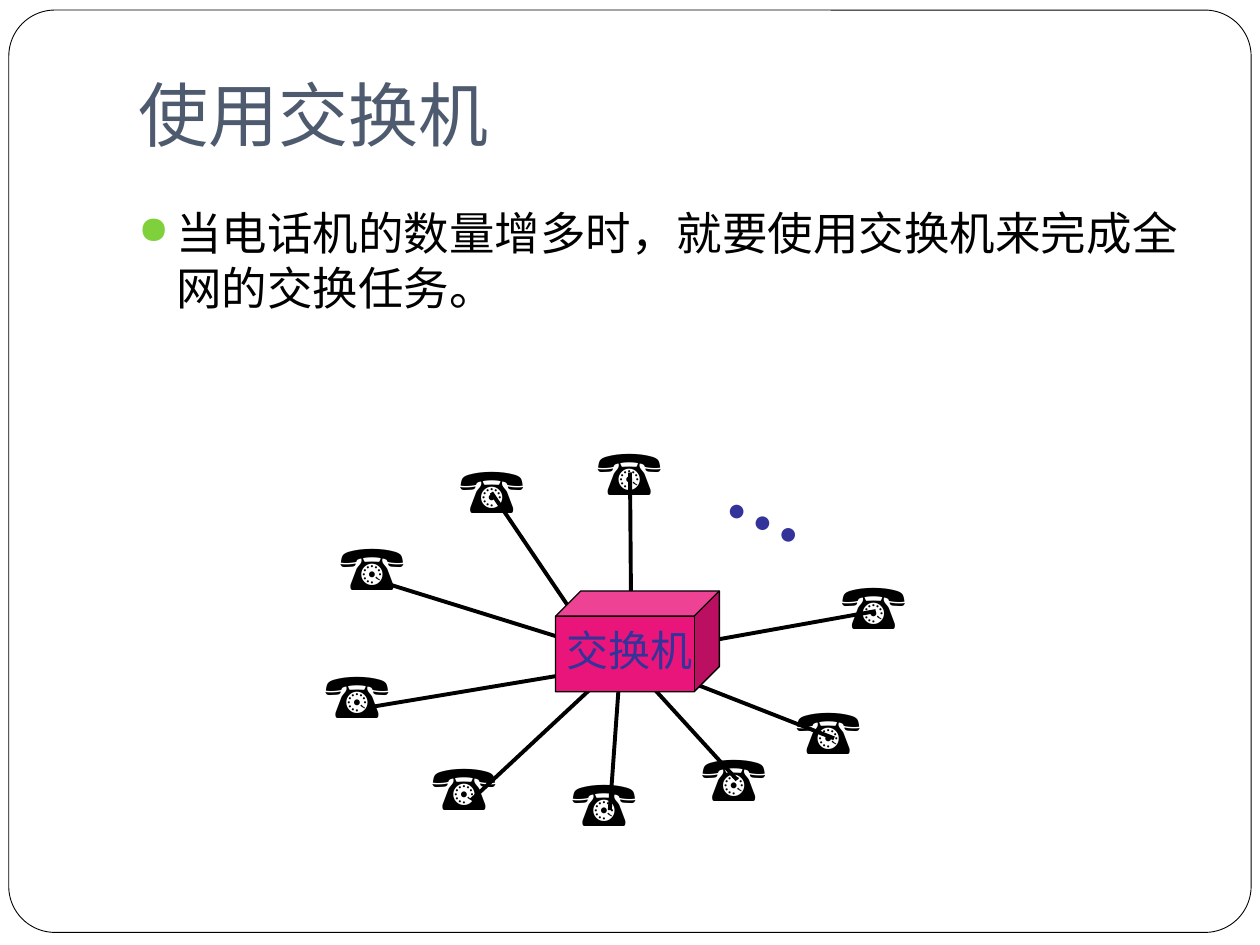
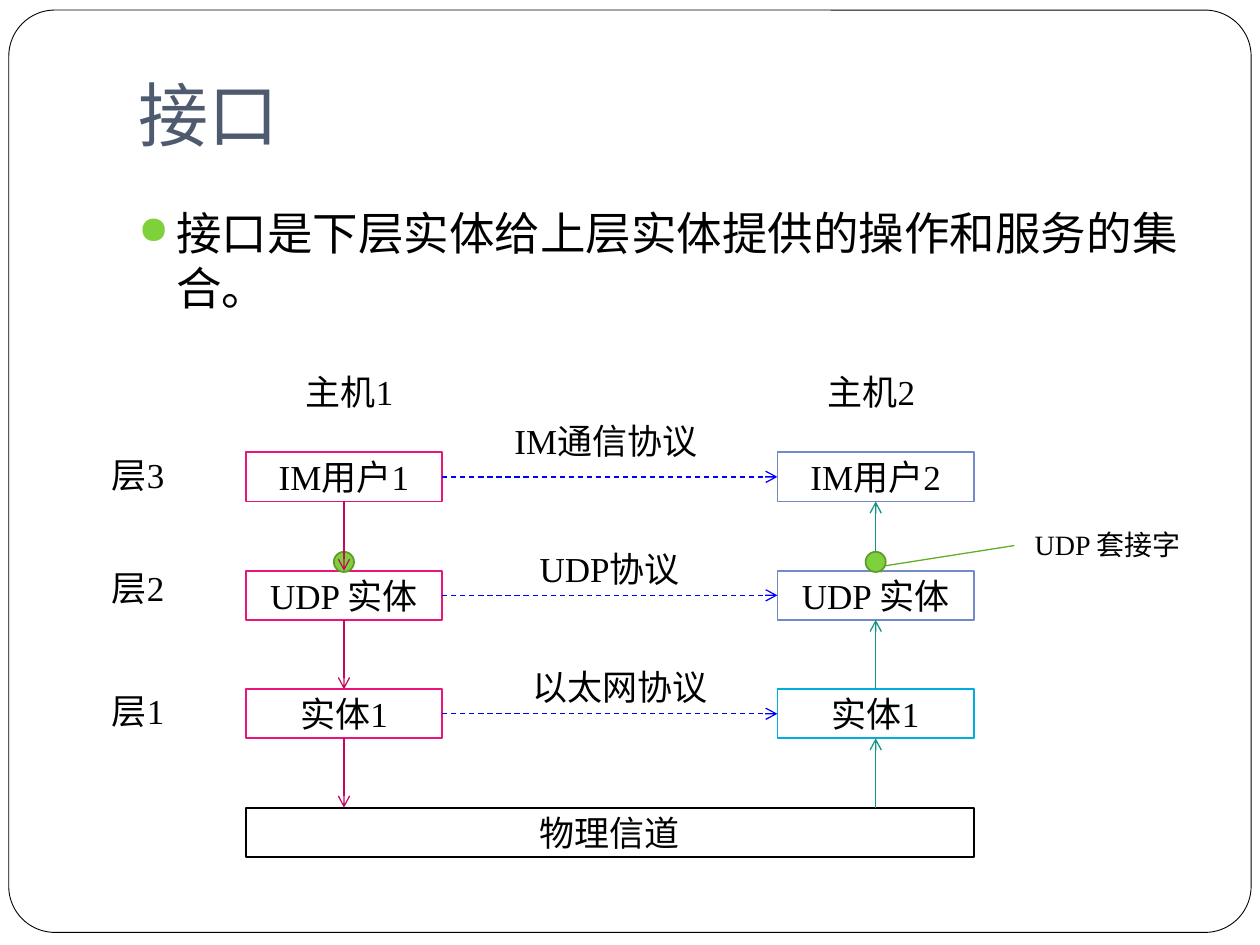
from pptx import Presentation
from pptx.dml.color import RGBColor
from pptx.enum.dml import MSO_LINE
from pptx.enum.shapes import MSO_CONNECTOR, MSO_SHAPE
from pptx.enum.text import MSO_ANCHOR, MSO_AUTO_SIZE, PP_ALIGN
from pptx.oxml.ns import qn
from pptx.util import Inches, Pt
from lxml import etree

BLACK = RGBColor(0x00, 0x00, 0x00)
WHITE = RGBColor(0xFF, 0xFF, 0xFF)
SLATE = RGBColor(0x4E, 0x5B, 0x6F)
GREEN = RGBColor(0x7F, 0xD1, 0x3B)
DARK_GREEN = RGBColor(0x5E, 0x9B, 0x2C)
CALLOUT_GREEN = RGBColor(0x65, 0xAD, 0x29)
PINK = RGBColor(0xEA, 0x15, 0x7A)
DARK_PINK = RGBColor(0xC4, 0x08, 0x61)
INDIGO = RGBColor(0x33, 0x33, 0x99)
PERIWINKLE = RGBColor(0x73, 0x8A, 0xC8)
CYAN = RGBColor(0x00, 0xAD, 0xDC)
TEAL = RGBColor(0x0F, 0x95, 0x84)
BLUE = RGBColor(0x00, 0x00, 0xFF)

RECT, OVAL = MSO_SHAPE.RECTANGLE, MSO_SHAPE.OVAL
ROUNDED, CUBE = MSO_SHAPE.ROUNDED_RECTANGLE, MSO_SHAPE.CUBE
STRAIGHT, DASH = MSO_CONNECTOR.STRAIGHT, MSO_LINE.DASH
CENTER, MIDDLE = PP_ALIGN.CENTER, MSO_ANCHOR.MIDDLE
GROW = MSO_AUTO_SIZE.SHAPE_TO_FIT_TEXT
TOP, LEFT, BOTTOM, RIGHT = range(4)

TITLE = {"name": "Lato", "size": Pt(40)}
BODY = {"name": "Times New Roman", "size": Pt(26)}
LABEL = {"name": "Times New Roman", "size": Pt(20)}
SMALL = {"name": "Times New Roman", "size": Pt(16)}
PHONE = {"name": "Times New Roman", "size": Pt(36)}
DOTS = {"name": "Times New Roman", "size": Pt(48), "bold": True}
HUB = {"name": "Times New Roman", "size": Pt(24)}


def add_item(s, at, text="", font=LABEL, color=BLACK, shape=None, fill=WHITE,
             line=BLACK, width=1, frame=None, align=None):
    """Add a text box, or a preset shape when one is given."""
    box = [Inches(v) for v in at]
    if shape is None:
        sp = s.shapes.add_textbox(*box)
    else:
        sp = s.shapes.add_shape(shape, *box)
        sp.shadow.inherit = False
        sp.fill.solid()
        sp.fill.fore_color.rgb = fill
        sp.line.color.rgb = line
        sp.line.width = Pt(width)
    if text:
        tf = sp.text_frame
        for key, value in {"word_wrap": True, **(frame or {})}.items():
            setattr(tf, key, value)
        p = tf.paragraphs[0]
        p.alignment = align
        r = p.add_run()
        r.text = text
        for key, value in font.items():
            setattr(r.font, key, value)
        r.font.color.rgb = color
    return sp


def add_line(s, start, end, color=BLACK, width=0.75, arrow=True, dash=None):
    """Draw a straight line; an end is a point or a (shape, side) pair."""
    points = [(0, 0) if hasattr(e[0], "shape_id") else e for e in (start, end)]
    cn = s.shapes.add_connector(STRAIGHT, *[Inches(v) for pt in points for v in pt])
    for e, connect in ((start, cn.begin_connect), (end, cn.end_connect)):
        if hasattr(e[0], "shape_id"):
            connect(*e)
    cn.line.color.rgb = color
    cn.line.width = Pt(width)
    if dash:
        cn.line.dash_style = dash
    if arrow:
        etree.SubElement(cn.line._get_or_add_ln(), qn("a:tailEnd"), type="arrow")
    etree.SubElement(cn._element.spPr, qn("a:effectLst"))


prs = Presentation()
prs.slide_width, prs.slide_height = Inches(10), Inches(7.5)

# Shared frame, title and bullet
PAGES = [
    ("使用交换机", "当电话机的数量增多时，就要使用交换机来完成全网的交换任务。"),
    ("接口", "接口是下层实体给上层实体提供的操作和服务的集合。"),
]
for title, bullet in PAGES:
    s = prs.slides.add_slide(prs.slide_layouts[6])
    sp = add_item(s, (0.07, 0.08, 9.86, 7.32), shape=ROUNDED, width=0.5)
    sp.adjustments[0] = 0.05
    add_item(s, (1, 0.3, 8.5, 1.25), title, TITLE, SLATE,
             frame={"vertical_anchor": MIDDLE, "margin_bottom": Inches(0.1)})
    sp = add_item(s, (1, 1.58, 8.5, 5), bullet, BODY)
    p = sp.text_frame.paragraphs[0]
    p.space_before = Pt(5.8)
    pPr = p._p.get_or_add_pPr()
    pPr.set("marL", str(Inches(0.3)))
    pPr.set("indent", str(Inches(-0.3)))
    clr = etree.SubElement(pPr, qn("a:buClr"))
    etree.SubElement(clr, qn("a:srgbClr"), val=str(GREEN))
    etree.SubElement(pPr, qn("a:buSzPct"), val="85000")
    etree.SubElement(pPr, qn("a:buChar"), char="●")

switch_slide, interface_slide = prs.slides

# Slide 1: telephones around the switch
s = switch_slide
no_wrap = {"word_wrap": False, "auto_size": GROW}
sp = add_item(s, (5.71, 3.51, 0.87, 0.9), "…", DOTS, INDIGO, frame=no_wrap)
sp.rotation = 24.3

# Telephone corner, then the two ends of its line
PHONES = [
    ((4.64, 3.38), (5, 3.75), (5.01, 5.01)),
    ((6.58, 4.45), (6.95, 4.85), (5.39, 5.13)),
    ((6.22, 5.44), (6.62, 5.86), (5.24, 5.32)),
    ((5.47, 5.81), (5.85, 6.19), (4.92, 5.17)),
    ((4.44, 6.01), (4.84, 6.43), (4.92, 5.32)),
    ((3.33, 5.88), (3.74, 6.35), (4.76, 5.4)),
    ((2.48, 5.15), (2.95, 5.61), (4.69, 5.32)),
    ((2.6, 4.14), (3.03, 4.62), (4.64, 5.12)),
    ((3.55, 3.53), (3.9, 3.91), (4.57, 4.9)),
]
for corner, start, end in PHONES:
    add_line(s, start, end, width=2.25, arrow=False)
    add_item(s, (*corner, 0.87, 0.7), "☎", PHONE, frame=no_wrap)

sp = add_item(s, (4.41, 4.69, 1.3, 0.8), shape=CUBE, fill=PINK, width=0.75)
sp.adjustments[0] = 0.25
add_item(s, (4.4, 4.91, 1.2, 0.5), "交换机", HUB, INDIGO, frame=no_wrap)

# Slide 2: two hosts with three layers each
s = interface_slide
X1, X2, BOX_W, BOX_H = 1.95, 6.17, 1.56, 0.39
ROW_TOP, ROW_STEP = 3.59, 0.94
MID1, MID2 = X1 + BOX_W / 2, X2 + BOX_W / 2
CHANNEL_TOP = ROW_TOP + 3 * ROW_STEP
in_box = {"vertical_anchor": MIDDLE, "margin_top": 0, "margin_bottom": 0}
grow = {"auto_size": GROW}

# Each layer: both entities, colour on host 2, protocol label and layer label
LAYERS = [
    ("IM用户1", "IM用户2", PERIWINKLE, "IM通信协议", (3.91, 3.28, 1.8), "层3", 3.55),
    ("UDP 实体", "UDP 实体", PERIWINKLE, "UDP协议", (4.06, 4.3, 1.56), "层2", 4.45),
    ("实体1", "实体1", CYAN, "以太网协议", (4.06, 5.23, 1.72), "层1", 5.42),
]
host1, host2 = [], []
for i, (name1, name2, color2, protocol, at, layer, layer_y) in enumerate(LAYERS):
    y = ROW_TOP + i * ROW_STEP
    for host, x, name, color in ((host1, X1, name1, PINK), (host2, X2, name2, color2)):
        host.append(add_item(s, (x, y, BOX_W, BOX_H), name, shape=RECT, line=color,
                             frame=in_box, align=CENTER))
    add_line(s, (host1[i], RIGHT), (host2[i], LEFT), BLUE, dash=DASH)
    add_item(s, (*at, 0.44), protocol, frame=grow, align=CENTER)
    add_item(s, (0.55, layer_y, 1.09, 0.44), layer, frame=grow, align=CENTER)

for x, name in ((2.19, "主机1"), (6.33, "主机2")):
    add_item(s, (x, 2.89, 1.17, 0.44), name, frame=grow, align=CENTER)
add_item(s, (X1, CHANNEL_TOP, X2 + BOX_W - X1, BOX_H), "物理信道", shape=RECT,
         frame=in_box, align=CENTER)

# Upward arrows on host 2, then the socket callout and the sockets
below2 = [(box, TOP) for box in host2[1:]] + [(MID2, CHANNEL_TOP)]
for box, start in zip(host2, below2):
    add_line(s, start, (box, BOTTOM), TEAL)
add_item(s, (8.05, 4.14, 1.48, 0.37), "UDP 套接字", SMALL, frame=grow, align=CENTER)
add_line(s, (8.05, 4.33), (6.9, 4.51), CALLOUT_GREEN)
for mid in (MID1, MID2):
    add_item(s, (mid - 0.08, 4.38, 0.16, 0.16), shape=OVAL, fill=GREEN, line=DARK_GREEN)

# Downward arrows on host 1
below1 = [(box, TOP) for box in host1[1:]] + [(MID1, CHANNEL_TOP)]
for box, end in zip(host1, below1):
    add_line(s, (box, BOTTOM), end, DARK_PINK)

prs.save("out.pptx")
